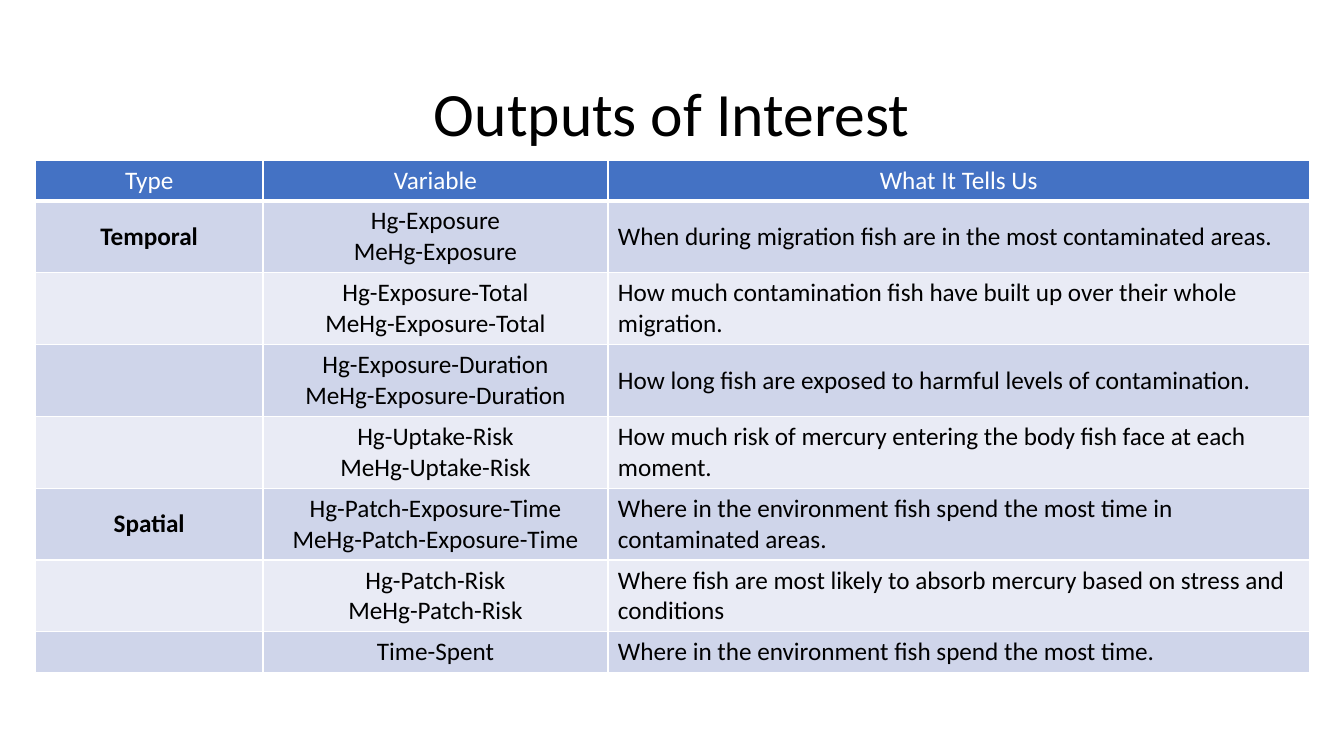
from lxml.etree import SubElement
from pptx import Presentation
from pptx.dml.color import RGBColor
from pptx.enum.text import MSO_ANCHOR, PP_ALIGN
from pptx.oxml.ns import qn
from pptx.util import Cm, Pt

# Content
TITLE = "Outputs of Interest"
HEADINGS = ("Type", "Variable", "What It Tells Us")
OUTPUTS = [
    ("Temporal", "Hg-Exposure\nMeHg-Exposure",
     "When during migration fish are in the most contaminated areas."),
    ("", "Hg-Exposure-Total\nMeHg-Exposure-Total",
     "How much contamination fish have built up over their whole migration."),
    ("", "Hg-Exposure-Duration\nMeHg-Exposure-Duration",
     "How long fish are exposed to harmful levels of contamination."),
    ("", "Hg-Uptake-Risk\nMeHg-Uptake-Risk",
     "How much risk of mercury entering the body fish face at each moment."),
    ("Spatial", "Hg-Patch-Exposure-Time\nMeHg-Patch-Exposure-Time",
     "Where in the environment fish spend the most time in contaminated areas."),
    ("", "Hg-Patch-Risk\nMeHg-Patch-Risk",
     "Where fish are most likely to absorb mercury based on stress and conditions"),
    ("", "Time-Spent", "Where in the environment fish spend the most time."),
]

# Look
FONT = "Calibri"
BLACK = RGBColor(0x00, 0x00, 0x00)
WHITE = RGBColor(0xFF, 0xFF, 0xFF)
HEADER_BLUE = RGBColor(0x44, 0x72, 0xC4)
BANDS = (RGBColor(0xCF, 0xD5, 0xEA), RGBColor(0xE9, 0xEB, 0xF5))
COLUMN_WIDTHS = (Cm(5.74), Cm(8.69), Cm(17.68))
ONE_LINE, TWO_LINES = Cm(1.03), Cm(1.81)


def style_font(font, size, color, bold=False):
    font.name, font.size, font.bold = FONT, Pt(size), bold
    font.color.rgb = color


def add_borders(cell, bottom):
    """White rules, which must come before the cell's fill."""
    properties = cell._tc.get_or_add_tcPr()
    for side, width in (("L", 1), ("R", 1), ("T", 1), ("B", bottom)):
        line = SubElement(properties, qn(f"a:ln{side}"), w=str(Pt(width)))
        fill = SubElement(line, qn("a:solidFill"))
        SubElement(fill, qn("a:srgbClr"), val=str(WHITE))


def fill_cell(cell, text, fill, color, bold, align, bottom):
    add_borders(cell, bottom)
    cell.fill.solid()
    cell.fill.fore_color.rgb = fill
    cell.vertical_anchor = MSO_ANCHOR.MIDDLE
    cell.text_frame.text = text
    for paragraph in cell.text_frame.paragraphs:
        paragraph.alignment = align
        style_font(paragraph.font, 18, color, bold)
        for run in paragraph.runs:
            style_font(run.font, 18, color, bold)


prs = Presentation()
prs.slide_width, prs.slide_height = Cm(33.87), Cm(19.05)
slide = prs.slides.add_slide(prs.slide_layouts[5])

# Title
title = slide.shapes.title
title.left, title.top, title.width, title.height = Cm(2.33), Cm(1.09), Cm(29.21), Cm(3.68)
title.text_frame.text = TITLE
title.text_frame.vertical_anchor = MSO_ANCHOR.MIDDLE
heading = title.text_frame.paragraphs[0]
heading.alignment = PP_ALIGN.CENTER
heading.line_spacing = 0.9
style_font(heading.runs[0].font, 44, BLACK)

# Table of outputs
rows = [HEADINGS] + OUTPUTS
heights = [TWO_LINES if "\n" in variable else ONE_LINE for _, variable, _ in rows]
table = slide.shapes.add_table(len(rows), len(HEADINGS), Cm(0.89), Cm(4.03),
                               sum(COLUMN_WIDTHS), sum(heights)).table
for column, width in zip(table.columns, COLUMN_WIDTHS):
    column.width = width
for r, (row, height) in enumerate(zip(rows, heights)):
    table.rows[r].height = height
    is_header = r == 0
    for c, text in enumerate(row):
        fill_cell(
            table.cell(r, c), text,
            fill=HEADER_BLUE if is_header else BANDS[(r - 1) % 2],
            color=WHITE if is_header else BLACK,
            bold=c == 0 and not is_header,
            align=PP_ALIGN.LEFT if c == 2 and not is_header else PP_ALIGN.CENTER,
            bottom=3 if is_header else 1,
        )

prs.save("out.pptx")
